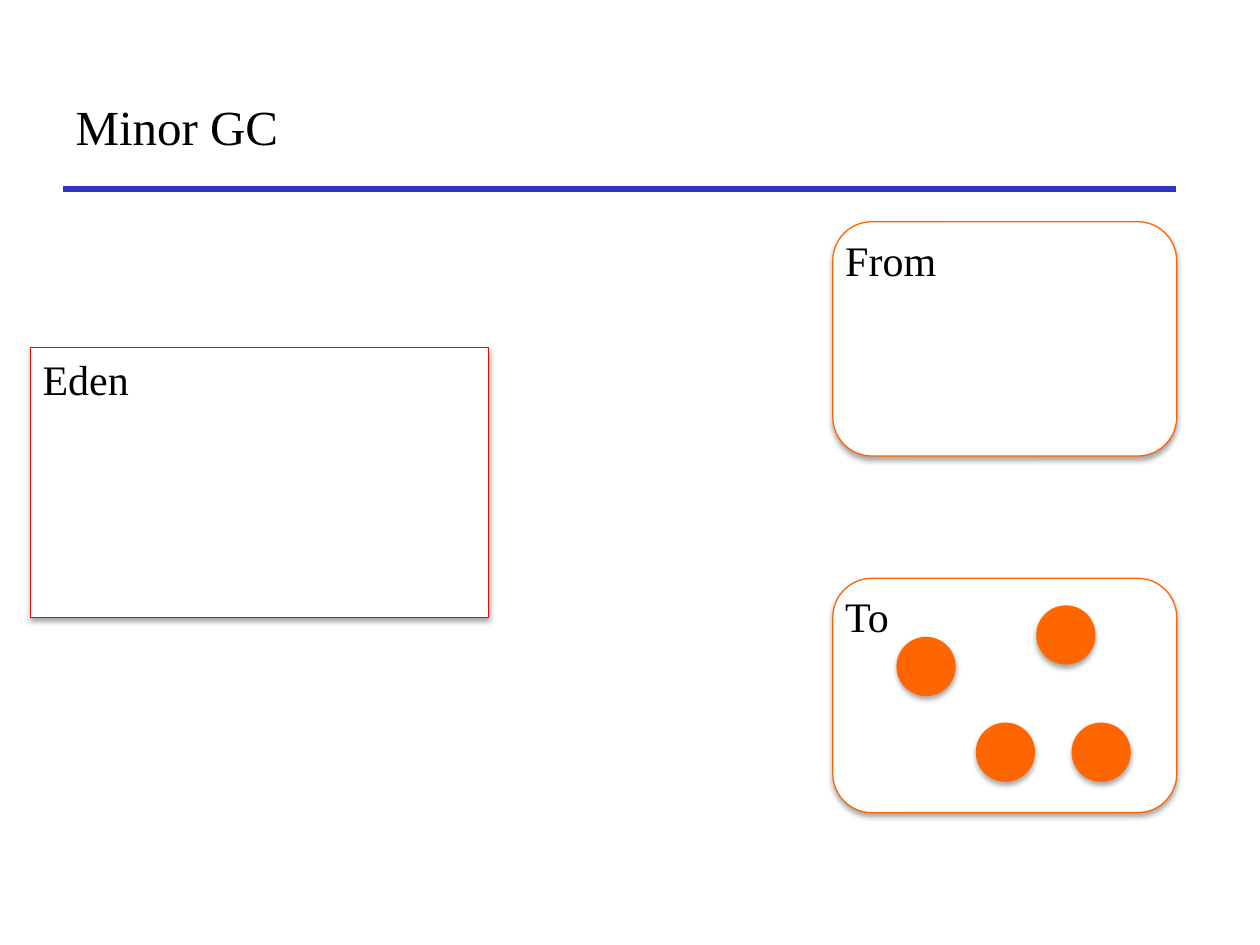
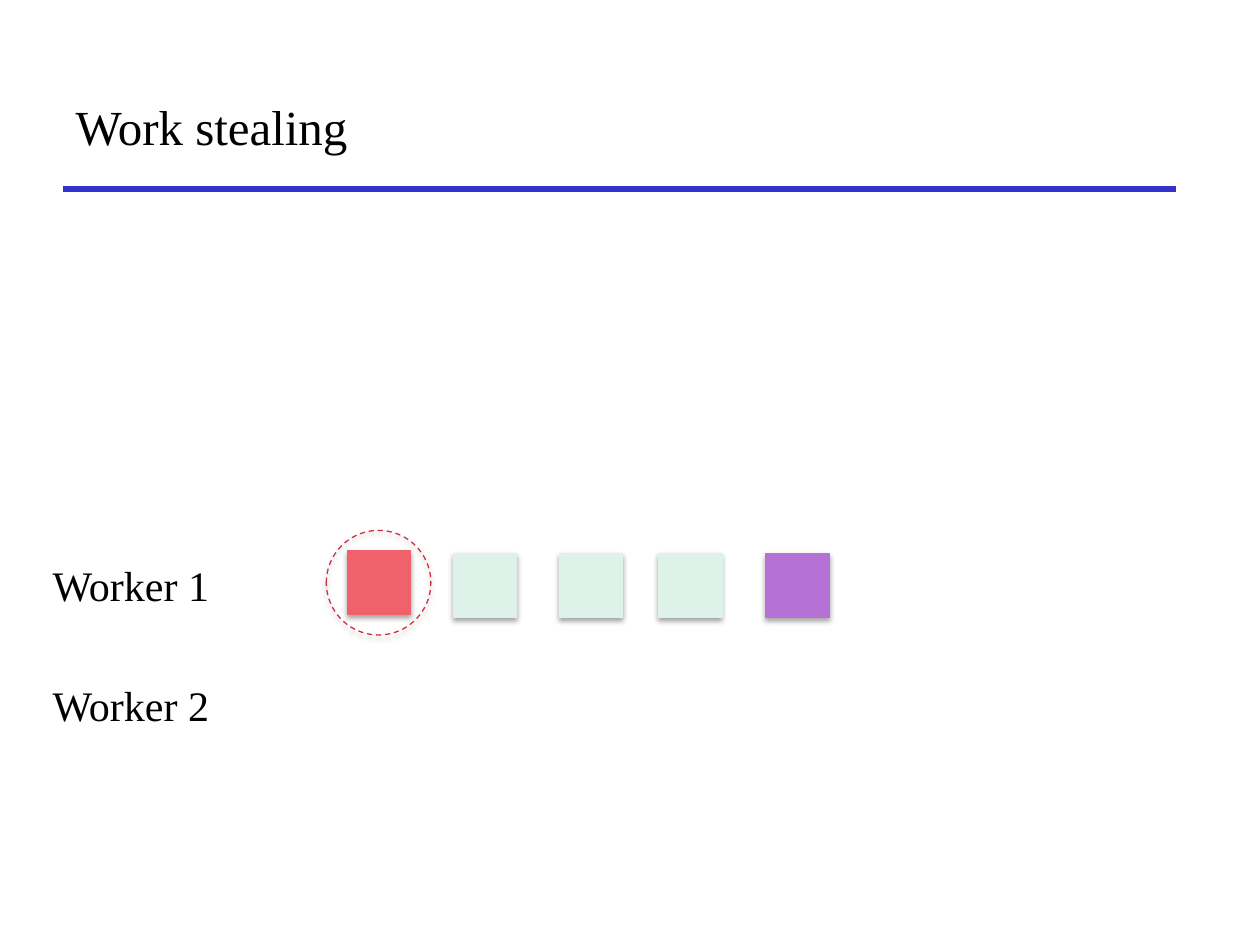
from lxml.etree import SubElement
from pptx import Presentation
from pptx.dml.color import RGBColor
from pptx.enum.dml import MSO_LINE
from pptx.enum.shapes import MSO_CONNECTOR, MSO_SHAPE
from pptx.enum.text import MSO_ANCHOR, MSO_AUTO_SIZE, PP_ALIGN
from pptx.oxml.ns import qn
from pptx.util import Inches, Pt

# Content: labels and places in inches
HEAP_TITLE = "Minor GC"
EDEN = ("Eden", 0.24, 2.76, 3.64, 2.14)
SURVIVOR_LEFT, SURVIVOR_SIZE = 6.61, (2.73, 1.86)
SURVIVORS = [("From", 1.76), ("To", 4.59)]
LIVE_OBJECTS = [(7.12, 5.06), (7.75, 5.74), (8.23, 4.81), (8.51, 5.74)]
OBJECT_SIZE = 0.46

STEALING_TITLE = "Work stealing"
WORKERS = ["Worker 1", "Worker 2"]
WORKER_LEFT, WORKER_TOP, WORKER_STEP = 0.32, 4.39, 0.95
STOLEN_TASK = (2.76, 4.37)
STOLEN_RING = (2.59, 4.21, 0.83, 0.83)
QUEUED_TASKS = [(3.6, "task"), (4.44, "task"), (5.23, "task"), (6.08, "last")]
TASK_TOP, TASK_SIZE = 4.39, (0.5, 0.51)

# Theme
THEME = {
    "font": "Times New Roman",
    "title": 28, "label": 24, "outline": 0.75, "rule": 3,
    "colours": {
        "text": "000000", "rule": "3333CC", "paper": "FFFFFF",
        "eden": "FF0000", "survivor": "FF6600", "stolen": "F0626B",
        "ring": "CD3042", "task": "DDF3EA", "last": "B571D5",
    },
    "shadow": {"blurRad": Pt(3.1), "dist": Pt(1.8), "dir": 90 * 60000,
               "algn": "ctr", "rotWithShape": 0},
    "shadow_alpha": 35000,
}


def colour(name):
    return RGBColor.from_string(THEME["colours"][name])


def apply_format(target, values):
    for name, value in values.items():
        setattr(target, name, value)


def place(shape, *bounds):
    lengths = map(Inches, bounds)
    apply_format(shape, dict(zip(("left", "top", "width", "height"), lengths)))


def write(frame, text, style):
    para = frame.paragraphs[0]
    para.alignment = PP_ALIGN.LEFT
    span = para.add_run()
    span.text = text
    apply_format(span.font, {"name": THEME["font"], "size": Pt(THEME[style])})
    span.font.color.rgb = colour("text")


# Shared parts
def add_rule(page):
    """Draw the title rule and move it to the page's layout."""
    rule = page.shapes.add_connector(
        MSO_CONNECTOR.STRAIGHT, Inches(0.5), Inches(1.5), Inches(9.33), Inches(1.5))
    apply_format(rule.line, {"width": Pt(THEME["rule"])})
    rule.line.color.rgb = colour("rule")
    SubElement(rule.element.spPr, qn("a:effectLst"))
    page.slide_layout.shapes.element.append(rule.element)


def add_page(deck, layout, title):
    page = deck.slides.add_slide(layout)
    place(page.shapes.title, 0.5, 0.5, 8.83, 1)
    frame = page.shapes.title.text_frame
    apply_format(frame, {"vertical_anchor": MSO_ANCHOR.MIDDLE,
                         "auto_size": MSO_AUTO_SIZE.NONE})
    write(frame, title, "title")
    return page


def add_label(page, text, left, top, width, wrap=True):
    box = page.shapes.add_textbox(*map(Inches, (left, top, width, 0.5)))
    apply_format(box.text_frame, {"word_wrap": wrap,
                                  "auto_size": MSO_AUTO_SIZE.SHAPE_TO_FIT_TEXT})
    write(box.text_frame, text, "label")


def add_shadow(shape):
    shape.shadow.inherit = False
    effects = shape.element.spPr.find(qn("a:effectLst"))
    values = {name: str(value) for name, value in THEME["shadow"].items()}
    shadow = SubElement(effects, qn("a:outerShdw"), values)
    tint = SubElement(shadow, qn("a:srgbClr"), val=THEME["colours"]["text"])
    SubElement(tint, qn("a:alpha"), val=str(THEME["shadow_alpha"]))


def add_block(page, kind, bounds, outline, fill=None, dash=None):
    block = page.shapes.add_shape(kind, *map(Inches, bounds))
    if fill:
        block.fill.solid()
        block.fill.fore_color.rgb = colour(fill)
    else:
        block.fill.background()
    block.line.color.rgb = colour(outline)
    apply_format(block.line, {"width": Pt(THEME["outline"]), "dash_style": dash})
    add_shadow(block)


# Slides
def build_minor_gc(page):
    name, left, top, width, height = EDEN
    add_block(page, MSO_SHAPE.RECTANGLE, (left, top, width, height), "eden", "paper")
    add_label(page, name, left, top, 1.43)
    for name, top in SURVIVORS:
        add_block(page, MSO_SHAPE.ROUNDED_RECTANGLE,
                  (SURVIVOR_LEFT, top, *SURVIVOR_SIZE), "survivor", "paper")
        add_label(page, name, SURVIVOR_LEFT, top + 0.05, 1.48)
    for left, top in LIVE_OBJECTS:
        add_block(page, MSO_SHAPE.OVAL, (left, top, OBJECT_SIZE, OBJECT_SIZE),
                  "survivor", "survivor")


def build_work_stealing(page):
    for row, worker in enumerate(WORKERS):
        add_label(page, worker, WORKER_LEFT, WORKER_TOP + row * WORKER_STEP,
                  1.45, wrap=False)
    tasks = [(*STOLEN_TASK, "stolen")]
    tasks += [(left, TASK_TOP, role) for left, role in QUEUED_TASKS]
    for left, top, role in tasks:
        add_block(page, MSO_SHAPE.RECTANGLE, (left, top, *TASK_SIZE), role, role)
    add_block(page, MSO_SHAPE.OVAL, STOLEN_RING, "ring", dash=MSO_LINE.DASH)


def main():
    deck = Presentation()
    apply_format(deck, {"slide_width": Inches(10), "slide_height": Inches(7.5)})
    layout = deck.slide_layouts.get_by_name("Title Only")
    heap_page = add_page(deck, layout, HEAP_TITLE)
    add_rule(heap_page)
    build_minor_gc(heap_page)
    build_work_stealing(add_page(deck, layout, STEALING_TITLE))
    deck.save("out.pptx")


if __name__ == "__main__":
    main()
